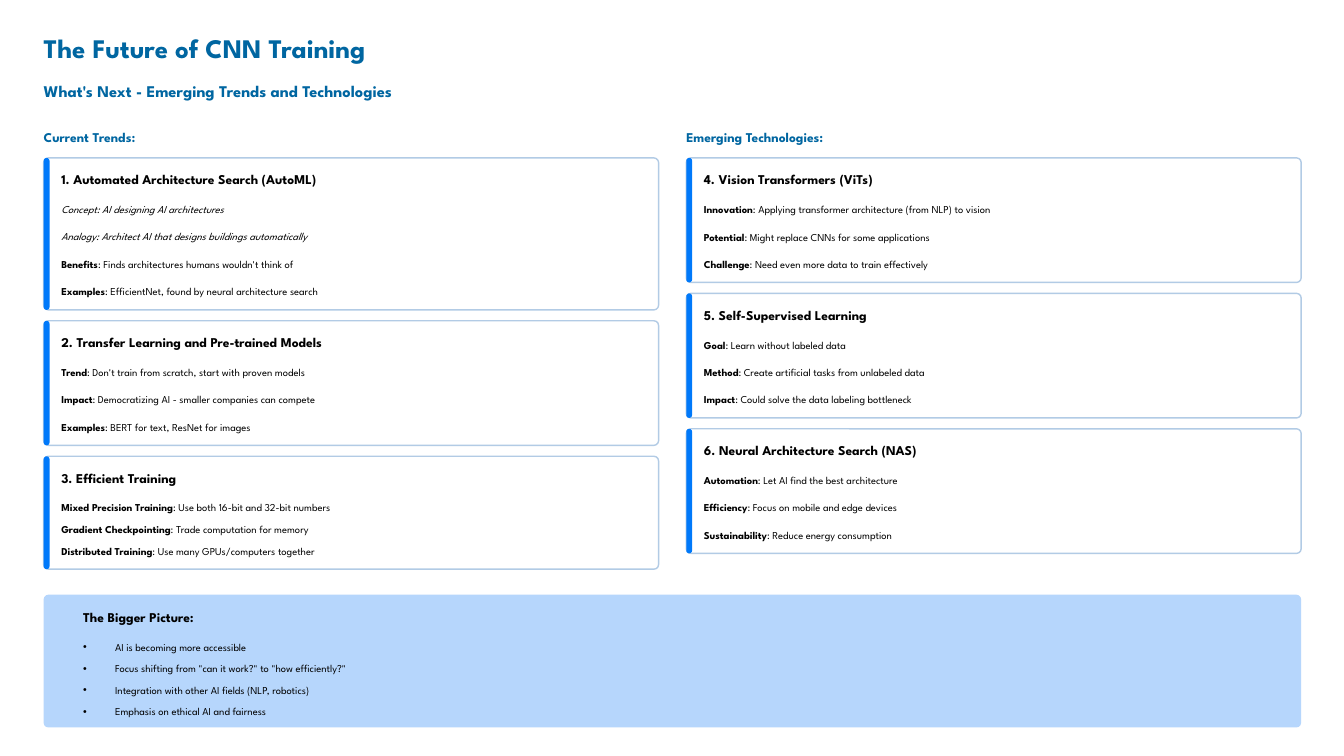
from lxml.etree import SubElement
from pptx import Presentation
from pptx.dml.color import RGBColor
from pptx.enum.shapes import MSO_SHAPE
from pptx.enum.text import MSO_ANCHOR, MSO_AUTO_SIZE, PP_ALIGN
from pptx.oxml.ns import qn
from pptx.util import Inches, Pt

# Palette and type
FONT = "League Spartan"
NAVY, BLACK, WHITE = "0066A1", "000000", "FFFFFF"
ACCENT, BORDER, PANEL = "0079FA", "B2CBE5", "B6D6FC"
HEADING_SIZE, ITEM_SIZE = 11.5, 9
HEADING_LEADING, ITEM_LEADING = 14.5, 15

# Two-column grid, in inches
MARGIN, COLUMN_WIDTH, GUTTER = 0.52, 7.32, 0.33
FULL_WIDTH = 2 * COLUMN_WIDTH + GUTTER
HEADING_ROW, CARD_ROW, PANEL_ROW = 1.53, 1.88, 7.08
PANEL_HEIGHT, PANEL_INDENT = 1.58, 0.47
CARD_GAP, CARD_INDENT, BAR_WIDTH = 0.13, 0.21, 0.07
HEADING_DROP, ITEMS_DROP, CARD_FOOT = 0.15, 0.48, 0.14
HEADING_HEIGHT, ITEM_HEIGHT = 0.2, 0.21
RADIUS, BULLET_INDENT = 0.055, 0.38
LOOSE, TIGHT = 8.5, 3.5  # points between items

# Each column: heading, then cards of (heading, item gap, items)
COLUMNS = [
    ("Current Trends:", [
        ("1. Automated Architecture Search (AutoML)", LOOSE, [
            "Concept: AI designing AI architectures",
            "Analogy: Architect AI that designs buildings automatically",
            ("Benefits", ": Finds architectures humans wouldn't think of"),
            ("Examples", ": EfficientNet, found by neural architecture search")]),
        ("2. Transfer Learning and Pre-trained Models", LOOSE, [
            ("Trend", ": Don't train from scratch, start with proven models"),
            ("Impact", ": Democratizing AI - smaller companies can compete"),
            ("Examples", ": BERT for text, ResNet for images")]),
        ("3. Efficient Training", TIGHT, [
            ("Mixed Precision Training", ": Use both 16-bit and 32-bit numbers"),
            ("Gradient Checkpointing", ": Trade computation for memory"),
            ("Distributed Training", ": Use many GPUs/computers together")])]),
    ("Emerging Technologies:", [
        ("4. Vision Transformers (ViTs)", LOOSE, [
            ("Innovation", ": Applying transformer architecture (from NLP) to vision"),
            ("Potential", ": Might replace CNNs for some applications"),
            ("Challenge", ": Need even more data to train effectively")]),
        ("5. Self-Supervised Learning", LOOSE, [
            ("Goal", ": Learn without labeled data"),
            ("Method", ": Create artificial tasks from unlabeled data"),
            ("Impact", ": Could solve the data labeling bottleneck")]),
        ("6. Neural Architecture Search (NAS)", LOOSE, [
            ("Automation", ": Let AI find the best architecture"),
            ("Efficiency", ": Focus on mobile and edge devices"),
            ("Sustainability", ": Reduce energy consumption")])]),
]
BIGGER_PICTURE = [
    "AI is becoming more accessible",
    'Focus shifting from "can it work?" to "how efficiently?"',
    "Integration with other AI fields (NLP, robotics)",
    "Emphasis on ethical AI and fairness",
]


def paint(color_format, color):
    color_format.rgb = RGBColor.from_string(color)


def place(box, left, top, width, height):
    box.left, box.top = Inches(left), Inches(top)
    box.width, box.height = Inches(width), Inches(height)


def prepare_frame(box):
    frame = box.text_frame
    frame.margin_left = frame.margin_right = 0
    frame.margin_top = frame.margin_bottom = 0
    frame.word_wrap = True
    frame.auto_size = MSO_AUTO_SIZE.NONE
    frame.vertical_anchor = MSO_ANCHOR.TOP
    return frame


def add_para(frame, index, leading, gap=0):
    para = frame.add_paragraph() if index else frame.paragraphs[0]
    para.alignment = PP_ALIGN.LEFT
    para.line_spacing = Pt(leading)
    para.space_before = Pt(gap if index else 0)
    para.space_after = Pt(0)
    return para


def write(para, text, size=ITEM_SIZE, color=BLACK, bold=False, italic=False):
    span = para.add_run()
    span.text = text
    font = span.font
    font.name, font.size, font.bold, font.italic = FONT, Pt(size), bold, italic
    paint(font.color, color)


def add_bullet(para):
    properties = para._p.get_or_add_pPr()
    indent = Inches(BULLET_INDENT)
    properties.set("marL", str(indent))
    properties.set("indent", str(-indent))
    SubElement(properties, qn("a:buChar")).set("char", "•")


def add_text_box(slide, left, top, width, height):
    box = slide.shapes.add_textbox(0, 0, 0, 0)
    place(box, left, top, width, height)
    return box


def add_heading(box, text, size=HEADING_SIZE, leading=HEADING_LEADING, color=BLACK):
    para = add_para(prepare_frame(box), 0, leading)
    write(para, text, size=size, color=color, bold=True)


def add_rounded(slide, left, top, width, height, fill, line=None):
    box = slide.shapes.add_shape(MSO_SHAPE.ROUNDED_RECTANGLE, 0, 0, 0, 0)
    place(box, left, top, width, height)
    box.adjustments[0] = min(0.5, RADIUS / min(width, height))
    box.shadow.inherit = False
    box.fill.solid()
    paint(box.fill.fore_color, fill)
    if line:
        paint(box.line.color, line)
        box.line.width = Pt(1.2)
    else:
        box.line.fill.background()
    return box


def add_card(slide, left, top, heading, gap, items):
    items_height = ITEM_HEIGHT + (len(items) - 1) * (ITEM_LEADING + gap) / 72
    height = ITEMS_DROP + items_height + CARD_FOOT
    text_left, text_width = left + CARD_INDENT, COLUMN_WIDTH - 0.36
    add_rounded(slide, left, top, COLUMN_WIDTH, height, WHITE, BORDER)
    add_rounded(slide, left, top, BAR_WIDTH, height, ACCENT)
    add_heading(add_text_box(slide, text_left, top + HEADING_DROP,
                             text_width, HEADING_HEIGHT), heading)
    box = add_text_box(slide, text_left, top + ITEMS_DROP, text_width, items_height)
    frame = prepare_frame(box)
    for index, item in enumerate(items):
        para = add_para(frame, index, ITEM_LEADING, gap)
        if isinstance(item, str):
            write(para, item, italic=True)
        else:
            label, detail = item
            write(para, label, bold=True)
            write(para, detail)
    return height


def add_column(slide, index, heading, cards):
    left, top = MARGIN + index * (COLUMN_WIDTH + GUTTER), CARD_ROW
    box = add_text_box(slide, left, HEADING_ROW, COLUMN_WIDTH, HEADING_HEIGHT)
    add_heading(box, heading, color=NAVY)
    for card in cards:
        top += add_card(slide, left, top, *card) + CARD_GAP


def add_bigger_picture(slide, body):
    left, width = MARGIN + PANEL_INDENT, FULL_WIDTH - 0.6
    panel = add_rounded(slide, MARGIN, PANEL_ROW, FULL_WIDTH, PANEL_HEIGHT, PANEL)
    body._element.addprevious(panel._element)  # panel goes behind its list
    add_heading(add_text_box(slide, left, PANEL_ROW + 0.16, width, HEADING_HEIGHT),
                "The Bigger Picture:")
    place(body, left, PANEL_ROW + 0.49, width, 0.98)
    frame = prepare_frame(body)
    for index, item in enumerate(BIGGER_PICTURE):
        para = add_para(frame, index, ITEM_LEADING, TIGHT)
        add_bullet(para)
        write(para, item)


def main():
    deck = Presentation()
    deck.slide_width, deck.slide_height = Inches(16), Inches(9)
    slide = deck.slides.add_slide(deck.slide_layouts[1])
    title, body = slide.placeholders

    # Title and subtitle
    place(title, MARGIN, 0.36, 4.14, 0.41)
    add_heading(title, "The Future of CNN Training", size=23, leading=29, color=NAVY)
    subtitle = add_text_box(slide, MARGIN, 0.96, 4.5, 0.24)
    add_heading(subtitle, "What's Next - Emerging Trends and Technologies",
                size=14, leading=17.5, color=NAVY)

    # Columns of cards
    for index, (heading, cards) in enumerate(COLUMNS):
        add_column(slide, index, heading, cards)

    # Closing panel
    add_bigger_picture(slide, body)
    deck.save("out.pptx")


if __name__ == "__main__":
    main()
